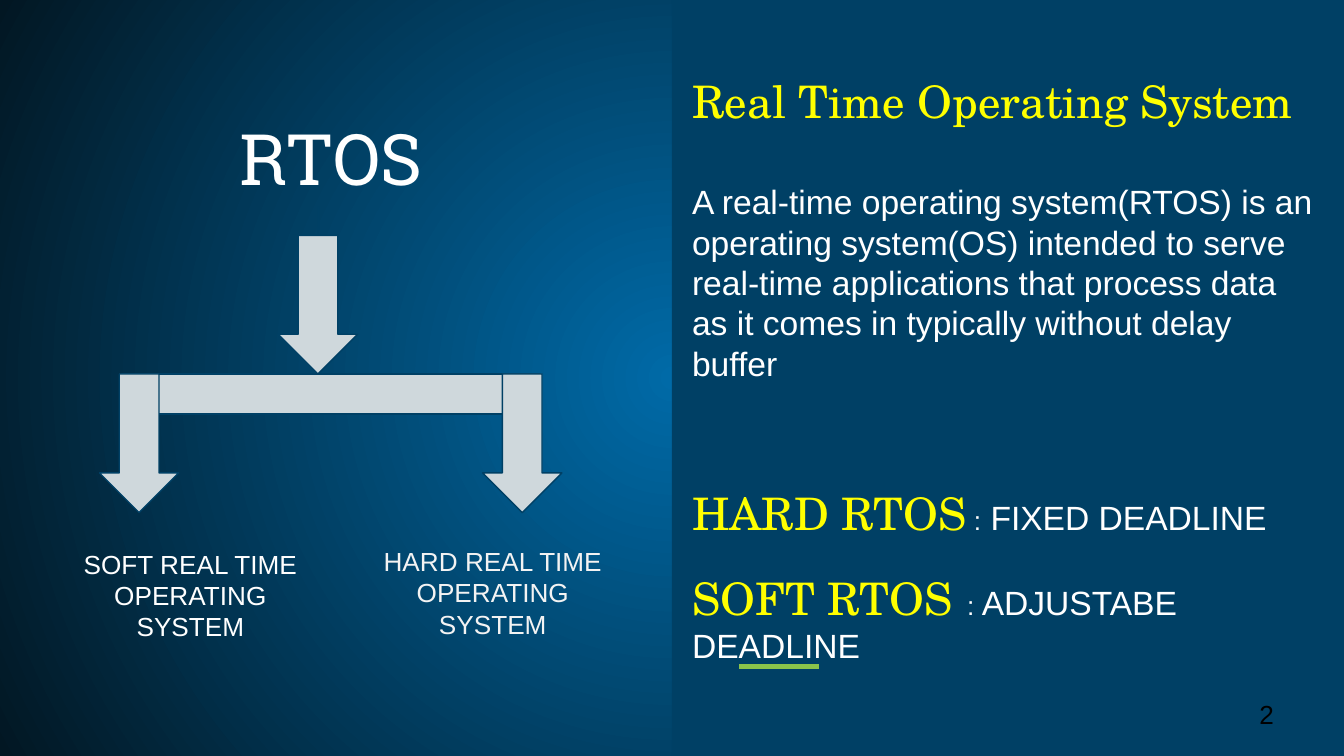
from dataclasses import dataclass

from lxml.etree import SubElement
from pptx import Presentation
from pptx.dml.color import RGBColor
from pptx.enum.shapes import MSO_CONNECTOR as Connector, MSO_SHAPE as Shape
from pptx.enum.text import MSO_ANCHOR as Anchor, PP_ALIGN as Align
from pptx.oxml.ns import qn
from pptx.util import Cm, Pt


@dataclass(frozen=True)
class Theme:
    glow: str = "006AA7"
    edge: str = "021723"
    panel: str = "004065"
    accent: str = "8BC34A"
    arrow: str = "CFD8DC"
    heading: str = "FFFF00"
    white: str = "FFFFFF"
    pale: str = "F3F3F3"
    black: str = "000000"
    title_font: str = "Roboto Slab"
    heading_font: str = "TeX Gyre Schola"
    body_font: str = "Arial"
    title_size: int = 38
    heading_size: int = 24
    body_size: int = 18
    label_size: int = 14


THEME = Theme()


@dataclass(frozen=True)
class Box:
    left: float
    top: float
    width: float
    height: float

    def lengths(self) -> tuple:
        return Cm(self.left), Cm(self.top), Cm(self.width), Cm(self.height)


@dataclass(frozen=True)
class Span:
    text: str
    size: int = THEME.body_size
    color: str = THEME.white
    font: str = THEME.body_font


@dataclass(frozen=True)
class Para:
    spans: tuple
    space_before: float = 0
    align: Align = Align.LEFT


def rgb(color: str) -> RGBColor:
    return RGBColor.from_string(color)


def heading(text: str) -> Span:
    return Span(text, THEME.heading_size, THEME.heading, THEME.heading_font)


def small(text: str, color: str = THEME.white) -> Span:
    return Span(text, THEME.label_size, color)


def paint_background(slide) -> None:
    """Fill the background with a glow that spreads from the centre."""
    fill = slide.background.fill
    fill.gradient()
    for stop, color, position in zip(fill.gradient_stops, (THEME.glow, THEME.edge), (0, 1)):
        stop.color.rgb = rgb(color)
        stop.position = position
    gradient = slide.background._cSld.find(".//" + qn("a:gradFill"))
    gradient.remove(gradient.find(qn("a:lin")))
    radial = SubElement(gradient, qn("a:path"), path="circle")
    SubElement(radial, qn("a:fillToRect"), l="50000", t="50000", r="50000", b="50000")


def write(frame, paras: list[Para], anchor: Anchor = Anchor.TOP) -> None:
    frame.word_wrap = True
    frame.vertical_anchor = anchor
    frame.margin_left = frame.margin_right = Cm(0.25)
    frame.margin_top = frame.margin_bottom = Cm(0.25)
    for index, para in enumerate(paras):
        line = frame.add_paragraph() if index else frame.paragraphs[0]
        line.alignment = para.align
        line.space_before = Pt(para.space_before)
        line.line_spacing = 1.0
        for span in para.spans:
            run = line.add_run()
            run.text = span.text
            run.font.size = Pt(span.size)
            run.font.name = span.font
            run.font.color.rgb = rgb(span.color)


def add_text(slide, box: Box, paras: list[Para], anchor: Anchor = Anchor.TOP) -> None:
    write(slide.shapes.add_textbox(*box.lengths()).text_frame, paras, anchor)


def add_block(slide, kind: Shape, box: Box, fill: str, outlined: bool = True) -> None:
    block = slide.shapes.add_shape(kind, *box.lengths())
    block.shadow.inherit = False
    block.fill.solid()
    block.fill.fore_color.rgb = rgb(fill)
    if outlined:
        block.line.color.rgb = rgb(THEME.panel)
        block.line.width = Pt(0.75)
    else:
        block.line.fill.background()


def add_line(slide, start: tuple, end: tuple, color: str, width: float) -> None:
    line = slide.shapes.add_connector(Connector.STRAIGHT, *map(Cm, start + end))
    line.line.color.rgb = rgb(color)
    line.line.width = Pt(width)
    SubElement(line._element.spPr, qn("a:effectLst"))


def add_title(slide) -> None:
    title = slide.shapes.title
    title.left, title.top, title.width, title.height = Box(0.64, 1.14, 11.23, 3.66).lengths()
    span = Span("RTOS", THEME.title_size, THEME.white, THEME.title_font)
    write(title.text_frame, [Para((span,), align=Align.CENTER)], Anchor.MIDDLE)


def add_tree(slide) -> None:
    """Draw the arrow from the title, the crossbar and its two branches."""
    arrow_width, arrow_height = 1.5, 2.62
    stem_top = 4.45
    bar_top = stem_top + arrow_height
    add_line(slide, (6.02, 3.91), (5.99, bar_top), THEME.panel, 0.75)
    add_block(slide, Shape.DOWN_ARROW, Box(5.26, stem_top, arrow_width, arrow_height), THEME.arrow)
    add_block(slide, Shape.RECTANGLE, Box(2.31, bar_top, 7.9, 0.76), THEME.arrow)
    for left in (1.88, 9.12):
        add_block(slide, Shape.DOWN_ARROW, Box(left, bar_top, arrow_width, arrow_height), THEME.arrow)

    labels = (
        (Box(6.76, 10.06, 5.11, 1.27), "HARD REAL TIME OPERATING SYSTEM", THEME.pale),
        (Box(0.97, 10.11, 5.26, 1.6), "SOFT REAL TIME OPERATING SYSTEM", THEME.white),
    )
    for box, text, color in labels:
        add_text(slide, box, [Para((small(text, color),), align=Align.CENTER)])


def add_definitions(slide) -> None:
    definition = (
        "A real-time operating system(RTOS) is an operating system(OS) intended to serve "
        "real-time applications that process data as it comes in typically without delay buffer"
    )
    add_text(slide, Box(12.83, 1.14, 12.37, 12.37), [
        Para((heading("Real Time Operating System"),)),
        Para((Span(definition),), space_before=29),
        Para((heading("HARD RTOS"), small(" :"), Span(" FIXED DEADLINE")), space_before=55),
        Para((heading("SOFT RTOS"), small(" "), small(" : "), Span("ADJUSTABE DEADLINE")),
             space_before=17),
    ])


def main() -> None:
    deck = Presentation()
    deck.slide_width, deck.slide_height = Cm(25.4), Cm(14.29)
    slide = deck.slides.add_slide(deck.slide_layouts[5])
    paint_background(slide)
    add_block(slide, Shape.RECTANGLE, Box(12.7, 0, 12.7, 14.29), THEME.panel, outlined=False)
    add_line(slide, (13.97, 12.6), (15.48, 12.6), THEME.accent, 3)
    add_title(slide)
    add_definitions(slide)
    add_tree(slide)
    add_text(slide, Box(23.55, 12.95, 1.52, 1.09), [Para((small("2", THEME.black),))], Anchor.MIDDLE)
    deck.save("out.pptx")


if __name__ == "__main__":
    main()
